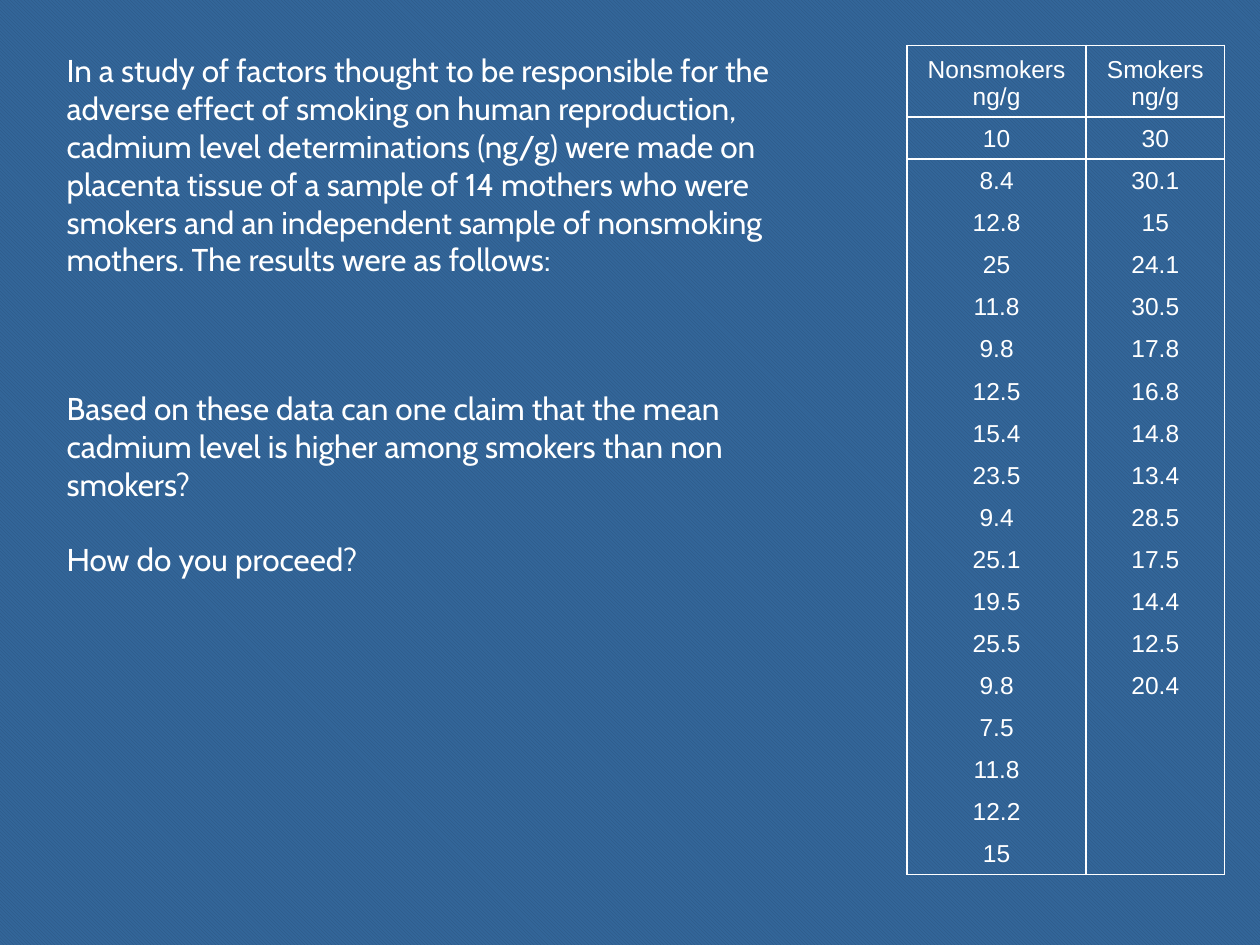
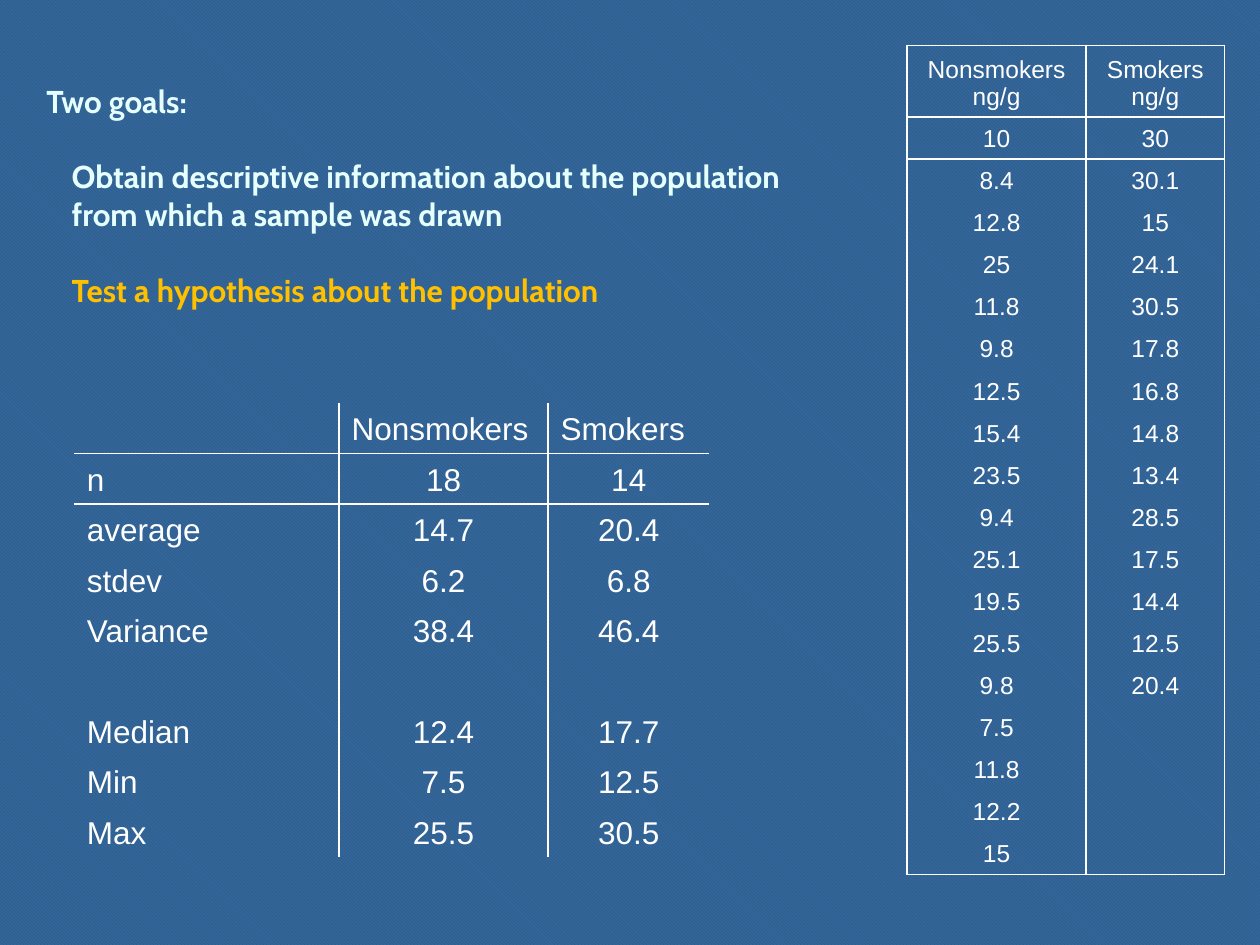
from dataclasses import dataclass
from itertools import zip_longest

from lxml import etree
from pptx import Presentation
from pptx.dml.color import RGBColor
from pptx.enum import dml, text
from pptx.oxml import ns
from pptx.util import Inches, Pt


@dataclass(frozen=True)
class Theme:
    ground: str = "336699"
    hatch: str = "2B5481"
    white: str = "FFFFFF"
    pale: str = "E5FFFF"
    amber: str = "FFC000"
    prose_font: str = "Cabin"
    table_font: str = "Arial"
    prose_size: float = 18
    summary_size: float = 18
    data_size: float = 14
    blank_line: float = 21.6
    rule_width: float = 1


THEME = Theme()
NO_TABLE_STYLE = "{2D5ABB26-0587-4C30-8999-92F81FD0307C}"
LEFT, CENTER = text.PP_ALIGN.LEFT, text.PP_ALIGN.CENTER

# Cadmium levels in ng/g
NONSMOKERS = ("10 8.4 12.8 25 11.8 9.8 12.5 15.4 23.5 9.4 25.1 19.5 "
              "25.5 9.8 7.5 11.8 12.2 15").split()
SMOKERS = ("30 30.1 15 24.1 30.5 17.8 16.8 14.8 13.4 28.5 17.5 14.4 "
           "12.5 20.4").split()
LEVELS = [("Nonsmokers\nng/g", "Smokers\nng/g"),
          *zip_longest(NONSMOKERS, SMOKERS, fillvalue="")]

SUMMARY = [
    ("", "Nonsmokers", "Smokers"),
    ("n", "18", "14"),
    ("average", "14.7", "20.4"),
    ("stdev", "6.2", "6.8"),
    ("Variance", "38.4", "46.4"),
    ("", "", ""),
    ("Median", "12.4", "17.7"),
    ("Min", "7.5", "12.5"),
    ("Max", "25.5", "30.5"),
]

STUDY = ("In a study of factors thought to be responsible for the adverse effect "
         "of smoking on human reproduction, cadmium level determinations (ng/g) "
         "were made on placenta tissue of a sample of 14 mothers who were smokers "
         "and an independent sample of nonsmoking mothers. The results were as "
         "follows:")
QUESTION = ("Based on these data can one claim that the mean cadmium level is "
            "higher among smokers than non smokers?")
DESCRIBE = ("Obtain descriptive information about the population from which a "
            "sample was drawn")


def style_font(font, face, size, color, bold=False):
    font.name, font.size, font.bold = face, Pt(size), bold
    font.color.rgb = RGBColor.from_string(color)


def add_slide(deck):
    slide = deck.slides.add_slide(deck.slide_layouts[6])
    ground = slide.background.fill
    ground.patterned()
    ground.pattern = dml.MSO_PATTERN.DARK_DOWNWARD_DIAGONAL
    ground.fore_color.rgb = RGBColor.from_string(THEME.hatch)
    ground.back_color.rgb = RGBColor.from_string(THEME.ground)
    return slide


def add_prose(slide, box, lines, bold=False):
    """Each line is (words, colour, left indent); a blank line parts them."""
    frame = slide.shapes.add_textbox(*map(Inches, box)).text_frame
    frame.word_wrap = True
    for i, (words, color, indent) in enumerate(lines):
        line = frame.add_paragraph() if i else frame.paragraphs[0]
        line.text = words
        line.space_before = Pt(THEME.blank_line if i else 0)
        if indent:
            line._p.get_or_add_pPr().set("marL", str(Inches(indent)))
        style_font(line.font, THEME.prose_font, THEME.prose_size, color, bold)


def rule_edges(cell, edges):
    """Rule the given edges, a subset of the letters L, R, T, B in that order."""
    props = cell._tc.get_or_add_tcPr()
    for i, edge in enumerate(edges):
        line = etree.Element(ns.qn(f"a:ln{edge}"), w=str(Pt(THEME.rule_width)))
        fill = etree.SubElement(line, ns.qn("a:solidFill"))
        etree.SubElement(fill, ns.qn("a:srgbClr"), val=THEME.white)
        props.insert(i, line)


def add_grid(slide, left, top, widths, heights, rows, size, align_at, edges_at):
    """align_at(row, col) and edges_at(row, col) give each cell's look."""
    grid = slide.shapes.add_table(
        len(rows), len(widths), Inches(left), Inches(top),
        Inches(sum(widths)), Inches(sum(heights))).table
    grid.first_row = grid.horz_banding = False
    grid._tbl.tblPr.find(ns.qn("a:tableStyleId")).text = NO_TABLE_STYLE
    for column, width in zip(grid.columns, widths):
        column.width = Inches(width)
    for r, (row, height) in enumerate(zip(rows, heights)):
        grid.rows[r].height = Inches(height)
        for c, words in enumerate(row):
            cell = grid.cell(r, c)
            cell.text = words
            cell.vertical_anchor = text.MSO_ANCHOR.BOTTOM
            if not words:  # keeps an empty cell from stretching its row
                cell.margin_top = cell.margin_bottom = 0
            for line in cell.text_frame.paragraphs:
                line.alignment = align_at(r, c)
                style_font(line.font, THEME.table_font, size, THEME.white)
            cell.fill.background()
            rule_edges(cell, edges_at(r, c))


def add_levels(slide):
    last = len(LEVELS) - 1
    add_grid(slide, 7.2, 0.36, [1.42, 1.1], [0.57] + [6 / last] * last,
             LEVELS, THEME.data_size,
             align_at=lambda r, c: CENTER,
             edges_at=lambda r, c: "LR" + {0: "TB", 1: "T", last: "B"}.get(r, ""))


def add_summary(slide):
    add_grid(slide, 0.59, 3.2, [2.1, 1.66, 1.28], [0.4] * len(SUMMARY),
             SUMMARY, THEME.summary_size,
             align_at=lambda r, c: CENTER if r and c else LEFT,
             edges_at=lambda r, c: ("R", "LR", "L")[c] + {0: "B", 1: "T"}.get(r, ""))


def main():
    deck = Presentation()
    deck.slide_width, deck.slide_height = Inches(10), Inches(7.5)

    # The study and its question
    study = add_slide(deck)
    add_prose(study, (0.43, 3.04, 6.14, 1.6),
              [(QUESTION, THEME.white, 0),
               ("How do you proceed?", THEME.white, 0)])
    add_prose(study, (0.43, 0.36, 6.06, 2.2), [(STUDY, THEME.white, 0)])
    add_levels(study)

    # Goals and descriptive statistics
    goals = add_slide(deck)
    add_summary(goals)
    add_prose(goals, (0.27, 0.6, 6.06, 1.97),
              [("Two goals:", THEME.pale, 0),
               (DESCRIBE, THEME.pale, 0.2),
               ("Test a hypothesis about the population", THEME.amber, 0.2)],
              bold=True)
    add_levels(goals)

    deck.save("out.pptx")


if __name__ == "__main__":
    main()
